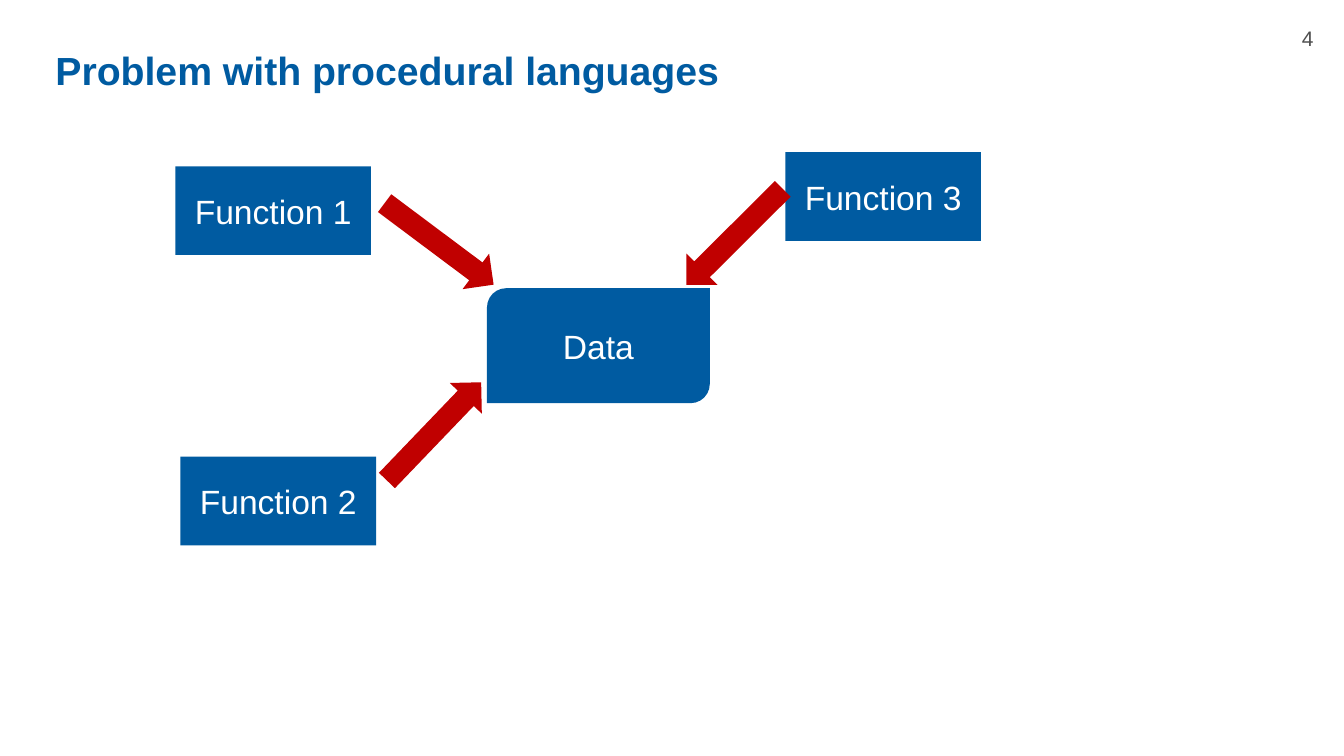
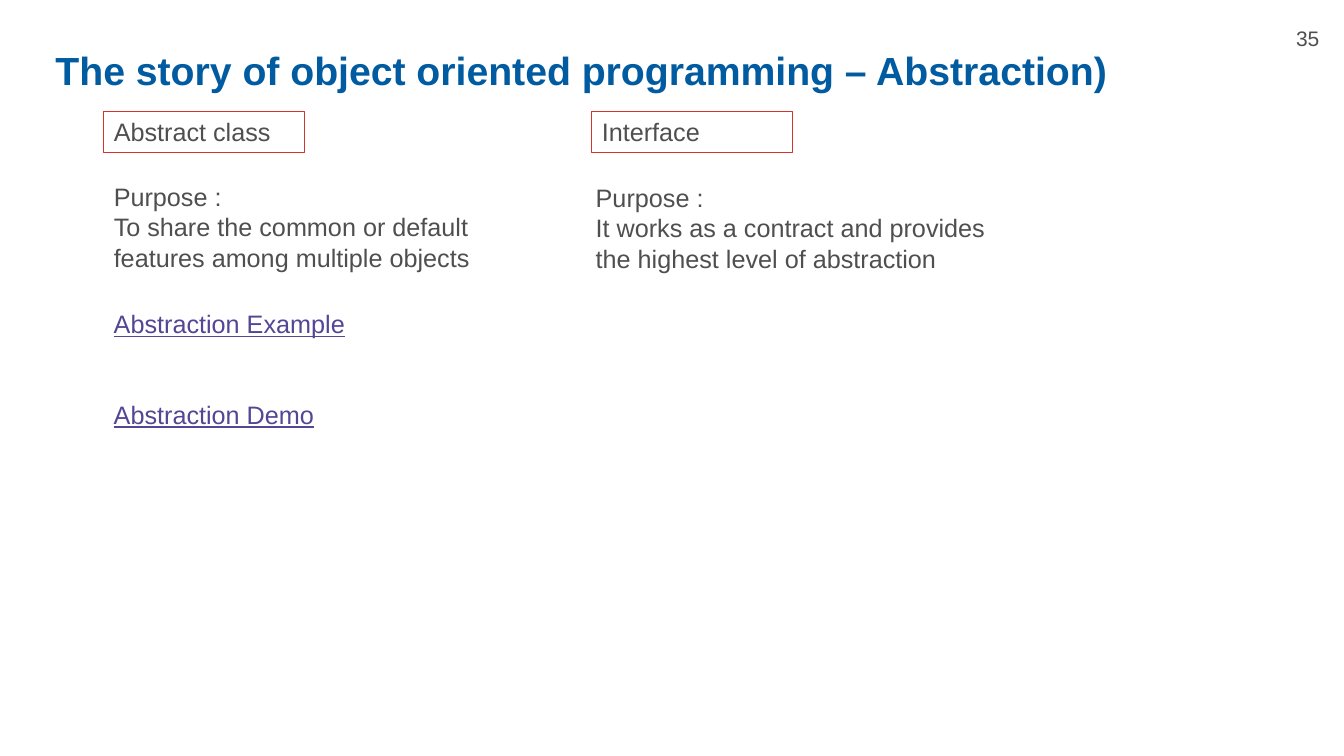
from dataclasses import dataclass

from pptx import Presentation
from pptx.dml.color import RGBColor
from pptx.enum.shapes import MSO_SHAPE
from pptx.enum.text import MSO_ANCHOR, MSO_AUTO_SIZE, PP_ALIGN
from pptx.util import Pt

RECTANGLE = MSO_SHAPE.RECTANGLE
DATA_SHAPE = MSO_SHAPE.ROUND_2_DIAG_RECTANGLE
RIGHT_ARROW = MSO_SHAPE.RIGHT_ARROW
LEFT, CENTER = PP_ALIGN.LEFT, PP_ALIGN.CENTER
TOP, MIDDLE = MSO_ANCHOR.TOP, MSO_ANCHOR.MIDDLE
NO_AUTOFIT = MSO_AUTO_SIZE.NONE
TITLE_ONLY = 5
EMU_PER_PX = 9144  # 100 px to the inch


@dataclass(frozen=True)
class Theme:
    font: str = "Arial"
    blue: str = "005BA1"
    red: str = "C00000"
    outline: str = "D4342C"
    gray: str = "4F4F4F"
    link: str = "544694"
    white: str = "FFFFFF"
    title_size: int = 28
    node_size: int = 24
    body_size: int = 18
    number_size: int = 15


THEME = Theme()


def px(*lengths):
    return [length * EMU_PER_PX for length in lengths]


def write_text(shape, lines, size, color, align=LEFT, anchor=TOP,
               bold=False, underline=False):
    frame = shape.text_frame
    frame.word_wrap = True
    frame.auto_size = NO_AUTOFIT
    frame.vertical_anchor = anchor
    frame.margin_left, frame.margin_top, frame.margin_right, frame.margin_bottom = px(10, 5, 10, 5)
    for index, line in enumerate(lines):
        paragraph = frame.add_paragraph() if index else frame.paragraphs[0]
        paragraph.alignment = align
        run = paragraph.add_run()
        run.text = line
        run.font.name = THEME.font
        run.font.size = Pt(size)
        run.font.bold = bold
        run.font.underline = underline
        run.font.color.rgb = RGBColor.from_string(color)


def add_text(slide, box, lines, size=THEME.body_size, color=THEME.gray, **style):
    text_box = slide.shapes.add_textbox(*px(*box))
    write_text(text_box, lines, size, color, **style)


def add_filled(slide, kind, box, color):
    shape = slide.shapes.add_shape(kind, *px(*box))
    shape.shadow.inherit = False
    shape.fill.solid()
    shape.fill.fore_color.rgb = RGBColor.from_string(color)
    shape.line.fill.background()
    return shape


def add_node(slide, kind, box, label):
    node = add_filled(slide, kind, box, THEME.blue)
    write_text(node, [label], THEME.node_size, THEME.white, CENTER, MIDDLE)


def add_heading_box(slide, box, label):
    heading = slide.shapes.add_shape(RECTANGLE, *px(*box))
    heading.shadow.inherit = False
    heading.fill.background()
    heading.line.color.rgb = RGBColor.from_string(THEME.outline)
    heading.line.width = Pt(0.75)
    write_text(heading, [label], THEME.body_size, THEME.gray)


def add_titled_slide(presentation, title, number):
    slide = presentation.slides.add_slide(presentation.slide_layouts[TITLE_ONLY])
    placeholder = slide.shapes.title
    placeholder.left, placeholder.top, placeholder.width, placeholder.height = px(45, 35, 1089, 68)
    write_text(placeholder, [title], THEME.title_size, THEME.blue, anchor=MIDDLE, bold=True)
    add_text(slide, (264 + 1000, 20, 66, 35), [number], THEME.number_size, align=CENTER)
    return slide


def add_function_diagram(slide, left, top):
    """Functions around shared data, placed from the diagram's corner."""
    add_node(slide, DATA_SHAPE, (left + 309, top + 135, 221, 114), "Data")
    functions = [("Function 1", 0, 14), ("Function 2", 5, 302), ("Function 3", 605, 0)]
    for label, x, y in functions:
        add_node(slide, RECTANGLE, (left + x, top + y, 194, 88), label)
    # Arrows towards the data
    for x, y, angle in [(194, 69, 36.8), (487, 62, 135.1), (189, 255, 313.8)]:
        arrow = add_filled(slide, RIGHT_ARROW, (left + x, top + y, 135, 44), THEME.red)
        arrow.rotation = angle


def add_concept(slide, left, top, heading, purpose, body_shift=(0, 0)):
    """Boxed heading with its purpose below; body_shift nudges the purpose."""
    shift_x, shift_y = body_shift
    add_heading_box(slide, (left, top, 199, 40), heading)
    add_text(slide, (left + shift_x, top + 64 + shift_y, 408, 101), ["Purpose :", purpose])


def add_link_list(slide, left, top, labels, pitch=90):
    for index, label in enumerate(labels):
        add_text(slide, (left, top + index * pitch, 257, 40), [label],
                 color=THEME.link, underline=True)


def build_procedural_slide(presentation):
    slide = add_titled_slide(presentation, "Problem with procedural languages", "4")
    add_function_diagram(slide, 174, 151)


def build_abstraction_slide(presentation):
    slide = add_titled_slide(
        presentation, "The story of object oriented programming – Abstraction)", "35")
    add_concept(slide, 103, 111, "Abstract class",
                "To share the common or default features among multiple objects")
    add_concept(slide, 587, 111, "Interface",
                "It works as a contract and provides the highest level of abstraction",
                body_shift=(-6, 1))
    add_link_list(slide, 103, 301, ["Abstraction Example", "Abstraction Demo"])


def main():
    presentation = Presentation()
    presentation.slide_width, presentation.slide_height = px(1333, 750)
    build_procedural_slide(presentation)
    build_abstraction_slide(presentation)
    presentation.save("out.pptx")


if __name__ == "__main__":
    main()
